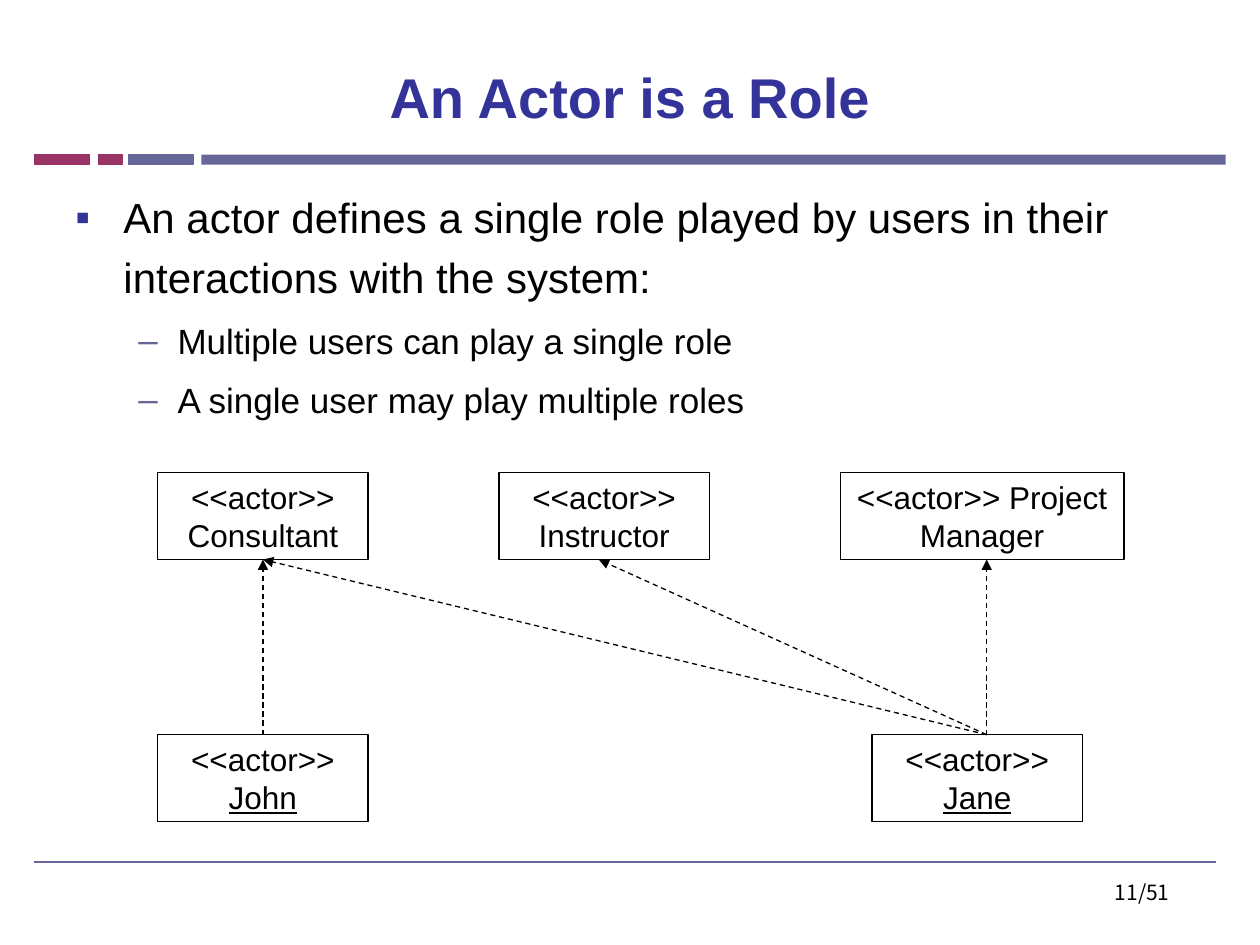
from dataclasses import dataclass

from lxml import etree
from pptx import Presentation
from pptx.dml.color import RGBColor
from pptx.enum.dml import MSO_LINE
from pptx.enum.shapes import MSO_CONNECTOR, MSO_SHAPE
from pptx.enum.text import MSO_ANCHOR, PP_ALIGN
from pptx.oxml.ns import qn
from pptx.util import Cm, Pt

RECT = MSO_SHAPE.RECTANGLE
STRAIGHT = MSO_CONNECTOR.STRAIGHT
DASH = MSO_LINE.DASH
TOP, MIDDLE = MSO_ANCHOR.TOP, MSO_ANCHOR.MIDDLE
LEFT, CENTER, RIGHT = PP_ALIGN.LEFT, PP_ALIGN.CENTER, PP_ALIGN.RIGHT
TOP_SIDE, BOTTOM_SIDE = 0, 2


@dataclass(frozen=True)
class Theme:
    font: str = "Arial"
    number_font: str = "Noto Sans CJK KR"
    ink: str = "000000"
    title: str = "333399"
    slate: str = "666699"
    plum: str = "993366"
    title_size: int = 32
    body_size: int = 24
    sub_size: int = 20
    actor_size: int = 18
    number_size: int = 12
    thin: float = 0.75


@dataclass(frozen=True)
class Bar:
    left: float
    width: float
    color: str
    outlined: bool = True


@dataclass(frozen=True)
class Actor:
    name: str
    left: float
    top: float
    width: float = 4.24
    is_person: bool = False


@dataclass(frozen=True)
class Bullet:
    text: str
    level: int
    char: str
    color: str
    size: int
    margin: float
    hanging: float


THEME = Theme()
BAR_TOP, BAR_HEIGHT = 3.12, 0.2
ROLE_TOP, PERSON_TOP, ACTOR_HEIGHT = 9.53, 14.81, 1.75
ROLE_BOTTOM = ROLE_TOP + ACTOR_HEIGHT
FIRST_LEFT, ROLE_STEP = 3.18, 6.88
JANE_X, INSTRUCTOR_X, CONSULTANT_X = 19.89, 12.07, 5.3

BARS = [
    Bar(4.06, 20.65, THEME.slate, outlined=False),
    Bar(0.69, 1.12, THEME.plum),
    Bar(2.59, 1.3, THEME.slate),
    Bar(1.98, 0.48, THEME.plum),
]
ACTORS = [
    Actor("Consultant", FIRST_LEFT, ROLE_TOP),
    Actor("Instructor", FIRST_LEFT + ROLE_STEP, ROLE_TOP),
    Actor("Project Manager", FIRST_LEFT + 2 * ROLE_STEP, ROLE_TOP, 5.72),
    Actor("John", FIRST_LEFT, PERSON_TOP, is_person=True),
    Actor("Jane", 17.58, PERSON_TOP, is_person=True),
]
BULLETS = [
    Bullet("An actor defines a single role played by users in their "
           "interactions with the system:",
           0, "▪", THEME.title, THEME.body_size, 0.97, 0.97),
] + [
    Bullet(text, 1, "–", THEME.slate, THEME.sub_size, 2.06, 0.79)
    for text in ("Multiple users can play a single role",
                 "A single user may play multiple roles")
]


def rgb(color: str) -> RGBColor:
    return RGBColor.from_string(color)


def style_runs(p, size: int, color: str = THEME.ink, font: str = THEME.font,
               bold: bool = False) -> None:
    for r in p.runs:
        r.font.name, r.font.size, r.font.bold = font, Pt(size), bold
        r.font.color.rgb = rgb(color)


def add_text_frame(s, left: float, top: float, width: float, height: float,
                   anchor=TOP):
    tf = s.shapes.add_textbox(Cm(left), Cm(top), Cm(width), Cm(height)).text_frame
    tf.word_wrap = True
    tf.vertical_anchor = anchor
    return tf


def add_bar(s, bar: Bar) -> None:
    sp = s.shapes.add_shape(RECT, Cm(bar.left), Cm(BAR_TOP),
                            Cm(bar.width), Cm(BAR_HEIGHT))
    sp.shadow.inherit = False
    sp.fill.solid()
    sp.fill.fore_color.rgb = rgb(bar.color)
    if bar.outlined:
        sp.line.color.rgb = rgb(bar.color)
        sp.line.width = Pt(THEME.thin)
    else:
        sp.line.fill.background()


def set_bullet(p, bullet: Bullet) -> None:
    p.level = bullet.level
    p_pr = p._p.get_or_add_pPr()
    p_pr.set("marL", str(Cm(bullet.margin)))
    p_pr.set("indent", str(-Cm(bullet.hanging)))
    bu_clr = etree.SubElement(p_pr, qn("a:buClr"))
    etree.SubElement(bu_clr, qn("a:srgbClr"), val=bullet.color)
    etree.SubElement(p_pr, qn("a:buFont"), typeface=THEME.font)
    etree.SubElement(p_pr, qn("a:buChar"), char=bullet.char)


def add_bullets(s, bullets: list[Bullet]) -> None:
    tf = add_text_frame(s, 1.27, 3.53, 22.86, 4.85)
    for i, bullet in enumerate(bullets):
        p = tf.add_paragraph() if i else tf.paragraphs[0]
        p.text = bullet.text
        p.alignment = LEFT
        p.line_spacing = 1.2
        p.space_before = Pt(5)
        set_bullet(p, bullet)
        style_runs(p, bullet.size)


def add_actor(s, actor: Actor):
    sp = s.shapes.add_shape(RECT, Cm(actor.left), Cm(actor.top),
                            Cm(actor.width), Cm(ACTOR_HEIGHT))
    sp.shadow.inherit = False
    sp.fill.background()
    sp.line.color.rgb = rgb(THEME.ink)
    sp.line.width = Pt(THEME.thin)
    tf = sp.text_frame
    tf.word_wrap = True
    tf.vertical_anchor = MIDDLE
    p = tf.paragraphs[0]
    p.alignment = CENTER
    p.add_run().text = "<<actor>> "
    r = p.add_run()
    r.text = actor.name
    style_runs(p, THEME.actor_size)
    if actor.is_person:
        r.font.underline = True
    return sp


def add_line(s, x1: float, y1: float, x2: float, y2: float,
             color: str, width: float):
    line = s.shapes.add_connector(STRAIGHT, Cm(x1), Cm(y1), Cm(x2), Cm(y2))
    line.line.color.rgb = rgb(color)
    line.line.width = Pt(width)
    etree.SubElement(line._element.spPr, qn("a:effectLst"))
    return line


def add_role_arrow(s, person_x: float, role_x: float):
    """Dashed arrow from the top of a person up to the bottom of a role."""
    arrow = add_line(s, person_x, PERSON_TOP, role_x, ROLE_BOTTOM,
                     THEME.ink, THEME.thin)
    arrow.line.dash_style = DASH
    etree.SubElement(arrow.line._get_or_add_ln(), qn("a:tailEnd"), type="triangle")
    return arrow


def main() -> None:
    prs = Presentation()
    prs.slide_width, prs.slide_height = Cm(25.4), Cm(19.05)
    s = prs.slides.add_slide(prs.slide_layouts[6])

    for bar in BARS:
        add_bar(s, bar)
    add_line(s, 0.69, 17.37, 24.51, 17.37, THEME.slate, 1)

    p = add_text_frame(s, 17.91, 17.6, 5.92, 1.32).paragraphs[0]
    p.text, p.alignment = "11/51", RIGHT
    style_runs(p, THEME.number_size, font=THEME.number_font)

    p = add_text_frame(s, 1.27, 0.76, 22.86, 2.36, MIDDLE).paragraphs[0]
    p.text, p.alignment = "An Actor is a Role", CENTER
    style_runs(p, THEME.title_size, THEME.title, bold=True)

    add_bullets(s, BULLETS)
    boxes = {actor.name: add_actor(s, actor) for actor in ACTORS}

    john_arrow = add_role_arrow(s, CONSULTANT_X, CONSULTANT_X)
    john_arrow.begin_connect(boxes["John"], TOP_SIDE)
    john_arrow.end_connect(boxes["Consultant"], BOTTOM_SIDE)
    for role_x in (JANE_X, INSTRUCTOR_X):
        add_role_arrow(s, JANE_X, role_x)
    jane_arrow = add_role_arrow(s, JANE_X, CONSULTANT_X)
    jane_arrow.end_connect(boxes["Consultant"], BOTTOM_SIDE)

    prs.save("out.pptx")


if __name__ == "__main__":
    main()
